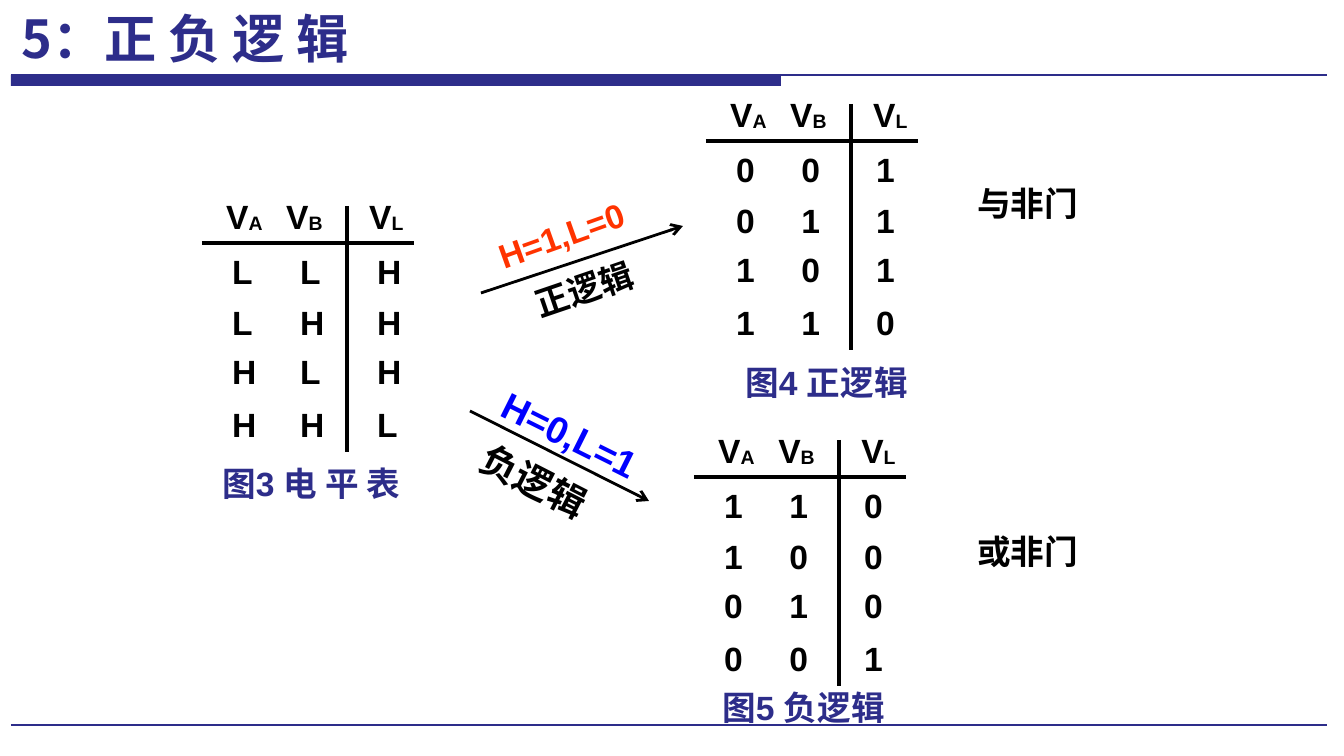
from pptx import Presentation
from pptx.dml.color import RGBColor
from pptx.enum.shapes import MSO_CONNECTOR, MSO_SHAPE
from pptx.enum.text import MSO_AUTO_SIZE, PP_ALIGN
from pptx.oxml.ns import qn
from pptx.util import Emu, Pt
from lxml.etree import SubElement

PX = 914400 / 134.4
NAVY, BLACK, RED, BLUE = "2D2D8A", "000000", "FF3300", "0000FF"
CJK = "Noto Sans CJK SC"


def px(n):
    return Emu(round(n * PX))


def color(value):
    return RGBColor.from_string(value)


class Deck:
    def __init__(self, width, height):
        self.prs = Presentation()
        self.prs.slide_width, self.prs.slide_height = px(width), px(height)
        self.s = self.prs.slides.add_slide(self.prs.slide_layouts[6])

    def bar(self, x, y, w, h, fill):
        sp = self.s.shapes.add_shape(MSO_SHAPE.RECTANGLE, px(x), px(y), px(w), px(h))
        sp.shadow.inherit = False
        sp.fill.solid()
        sp.fill.fore_color.rgb = color(fill)
        sp.line.fill.background()

    def line(self, x1, y1, x2, y2, width=2.25, ink=BLACK, arrow=False):
        c = self.s.shapes.add_connector(
            MSO_CONNECTOR.STRAIGHT, px(x1), px(y1), px(x2), px(y2))
        c.line.width = Pt(width)
        c.line.color.rgb = color(ink)
        if arrow:
            SubElement(c.line._get_or_add_ln(), qn("a:tailEnd"), type="arrow")
        SubElement(c._element.spPr, qn("a:effectLst"))

    def text(self, x, y, w, h, runs, ink=BLACK, size=18, font="Arial", rotation=0,
             indent=0, tabs=(), wrap=True, align=None):
        """Write runs; a run that starts with "_" is a subscript."""
        sp = self.s.shapes.add_textbox(px(x), px(y), px(w), px(h))
        sp.rotation = rotation
        tf = sp.text_frame
        tf.word_wrap = wrap
        tf.auto_size = MSO_AUTO_SIZE.SHAPE_TO_FIT_TEXT
        p = tf.paragraphs[0]
        pPr = p._p.get_or_add_pPr()
        if indent:
            pPr.set("marL", "0")
            pPr.set("indent", str(px(indent)))
        if tabs:
            stops = SubElement(pPr, qn("a:tabLst"))
            for tab in tabs:
                SubElement(stops, qn("a:tab"), pos=str(px(tab)), algn="l")
        p.alignment = align
        style = {"size": Pt(size), "bold": True, "name": font}
        for part in runs:
            r = p.add_run()
            r.text = part.lstrip("_")
            for name, value in style.items():
                setattr(r.font, name, value)
            r.font.color.rgb = color(ink)
            rPr = r._r.get_or_add_rPr()
            SubElement(rPr, qn("a:ea"), typeface=CJK)
            if part.startswith("_"):
                rPr.set("baseline", "-5000")

    def truth_table(self, x, y, rows, tabs):
        """x, y is the left end of the rule below the header."""
        self.line(x, y, x + 212, y)
        self.text(x + 11, y - 54, 224, 54,
                  ["V", "_A", "\tV", "_B", "\tV", "_L"], tabs=(60, 143))
        self.line(x + 145, y - 37, x + 145, y + 209)
        for row, top in zip(rows, (1, 52, 101, 154)):
            cells = "".join("\t" + value for value in row)
            self.text(x - 11, y + top, 371, 54, [cells], tabs=tabs)

    def caption(self, x, y, words):
        self.text(x, y, 232, 54, [words], ink=NAVY, indent=15)


def main():
    deck = Deck(1344, 756)

    # Title and page rules
    deck.bar(11, 75, 770, 11, NAVY)
    deck.line(11, 75, 1327, 75, 0.75, NAVY)
    deck.line(11, 725, 1327, 725, 1.25, NAVY)
    deck.text(0, 0, 371, 77, ["5：正 负 逻 辑"], NAVY, 28, CJK,
              wrap=False, align=PP_ALIGN.CENTER)

    # Level table and the two logic tables
    digit_tabs = (28, 93, 168)
    deck.truth_table(202, 243, ("LLH", "LHH", "HLH", "HHL"), (28, 96, 173))
    deck.truth_table(706, 141, ("001", "011", "101", "110"), digit_tabs)
    deck.truth_table(694, 477, ("110", "100", "010", "001"), digit_tabs)
    deck.caption(194, 456, "图3 电 平 表")
    deck.caption(717, 355, "图4 正逻辑")
    deck.caption(694, 680, "图5 负逻辑")

    # Positive logic arrow
    deck.text(481, 199, 211, 54, ["H=1,L=0"], RED, rotation=-19.6)
    deck.text(520, 257, 159, 54, ["正逻辑"], rotation=-18.8)
    deck.line(481, 293, 683, 226, 1.5, arrow=True)

    # Negative logic arrow
    deck.text(482, 414, 211, 59, ["H=0,L=1"], BLUE, 20, rotation=26.5)
    deck.text(464, 456, 159, 58, ["负逻辑"], size=20, rotation=27.1)
    deck.line(470, 411, 649, 501, 1.5, arrow=True)

    # Resulting gates
    for y, gate in ((176, "与非门"), (524, "或非门")):
        deck.text(964, y, 232, 54, [gate])

    deck.prs.save("out.pptx")


if __name__ == "__main__":
    main()
